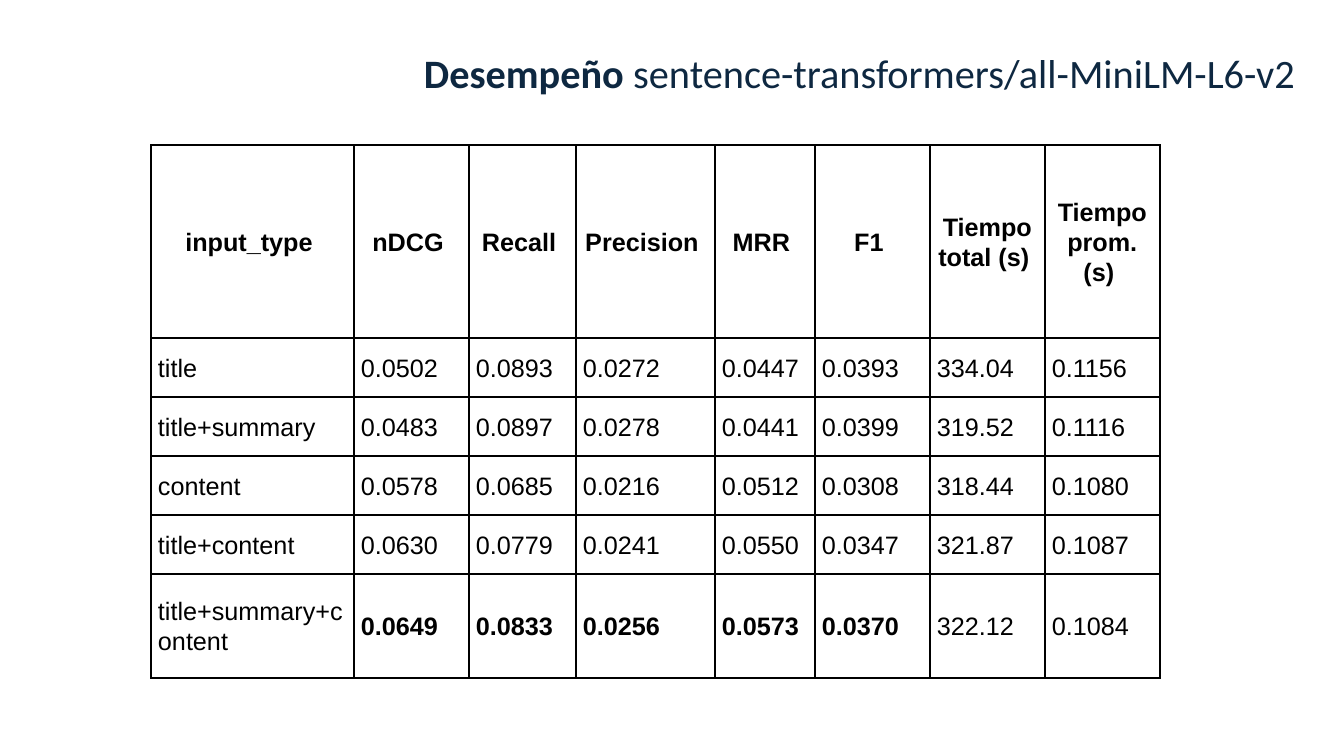
from lxml import etree
from pptx import Presentation
from pptx.dml.color import RGBColor
from pptx.enum.text import MSO_ANCHOR, PP_ALIGN
from pptx.oxml.ns import qn
from pptx.util import Pt

MIDDLE = MSO_ANCHOR.MIDDLE
LEFT, CENTER = PP_ALIGN.LEFT, PP_ALIGN.CENTER
EMU_PER_PX = 914400 / 100.8
NO_BREAK_SPACE = chr(160)
BLACK, NAVY = "000000", "0E2841"


def px(length):
    return round(length * EMU_PER_PX)


def add_text(paragraph, text, size=18, font="Arial", color=BLACK, bold=False,
             align=LEFT, spacing=Pt(21.4)):
    paragraph.alignment = align
    paragraph.line_spacing = spacing
    run = paragraph.add_run()
    run.text = text
    run.font.size = Pt(size)
    run.font.name = font
    run.font.bold = bold
    run.font.color.rgb = RGBColor.from_string(color)


presentation = Presentation()
presentation.slide_width = px(1344)
presentation.slide_height = px(756)
slide = presentation.slides.add_slide(presentation.slide_layouts[6])

title = slide.shapes.add_textbox(px(414), px(29), px(906), px(92))
title.text_frame.word_wrap = True
title.text_frame.vertical_anchor = MIDDLE
for text, bold in [("Desempeño ", True), ("sentence-transformers/all-MiniLM-L6-v2", False)]:
    add_text(title.text_frame.paragraphs[0], text, size=28.8, font="Calibri",
             color=NAVY, bold=bold, spacing=0.9)

rows = [
    ["input_type", "nDCG", "Recall", "Precision", "MRR", "F1", "Tiempo total (s)", "Tiempo prom. (s)"],
    ["title", "0.0502", "0.0893", "0.0272", "0.0447", "0.0393", "334.04", "0.1156"],
    ["title+summary", "0.0483", "0.0897", "0.0278", "0.0441", "0.0399", "319.52", "0.1116"],
    ["content", "0.0578", "0.0685", "0.0216", "0.0512", "0.0308", "318.44", "0.1080"],
    ["title+content", "0.0630", "0.0779", "0.0241", "0.0550", "0.0347", "321.87", "0.1087"],
    ["title+summary+content", "0.0649", "0.0833", "0.0256", "0.0573", "0.0370", "322.12", "0.1084"],
]
column_widths = [203, 115, 107, 139, 100, 115, 115, 115]
row_heights = [193, 59, 59, 59, 59, 104]
last_row = len(rows) - 1

table = slide.shapes.add_table(len(rows), len(column_widths), px(151), px(145),
                               px(sum(column_widths)), px(sum(row_heights))).table
table.horz_banding = False
for column, width in zip(table.columns, column_widths):
    column.width = px(width)
for row, height in zip(table.rows, row_heights):
    row.height = px(height)

for row_index, values in enumerate(rows):
    for column_index, value in enumerate(values):
        is_header = row_index == 0
        is_best = row_index == last_row and 1 <= column_index <= 5
        cell = table.cell(row_index, column_index)
        cell.vertical_anchor = MIDDLE
        cell.margin_left = cell.margin_right = px(7)
        cell.margin_top = cell.margin_bottom = px(5)
        add_text(cell.text_frame.paragraphs[0], value + NO_BREAK_SPACE,
                 bold=is_header or is_best, align=CENTER if is_header else LEFT)
        properties = cell._tc.get_or_add_tcPr()
        for side in ("a:lnL", "a:lnR", "a:lnT", "a:lnB"):
            border = etree.SubElement(properties, qn(side), w=str(Pt(1.5)))
            fill = etree.SubElement(border, qn("a:solidFill"))
            etree.SubElement(fill, qn("a:srgbClr"), val=BLACK)
        cell.fill.background()

presentation.save("out.pptx")
